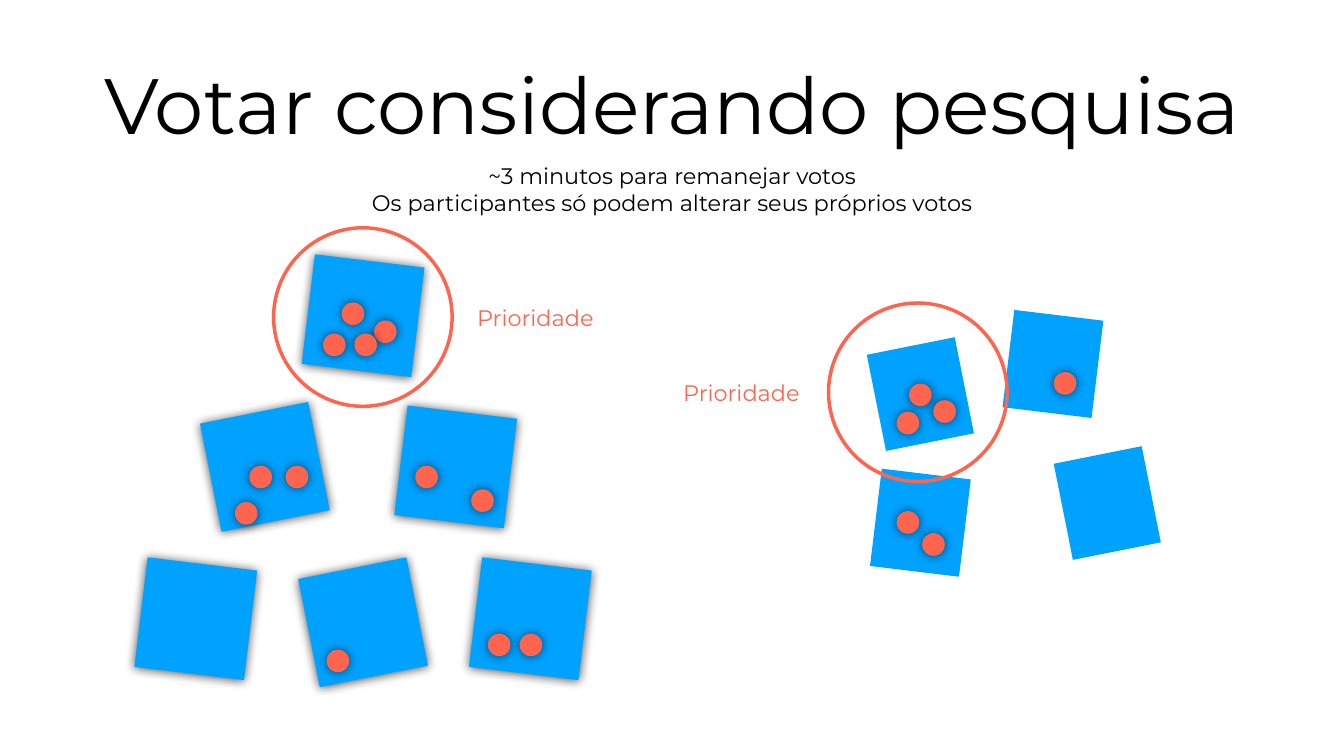
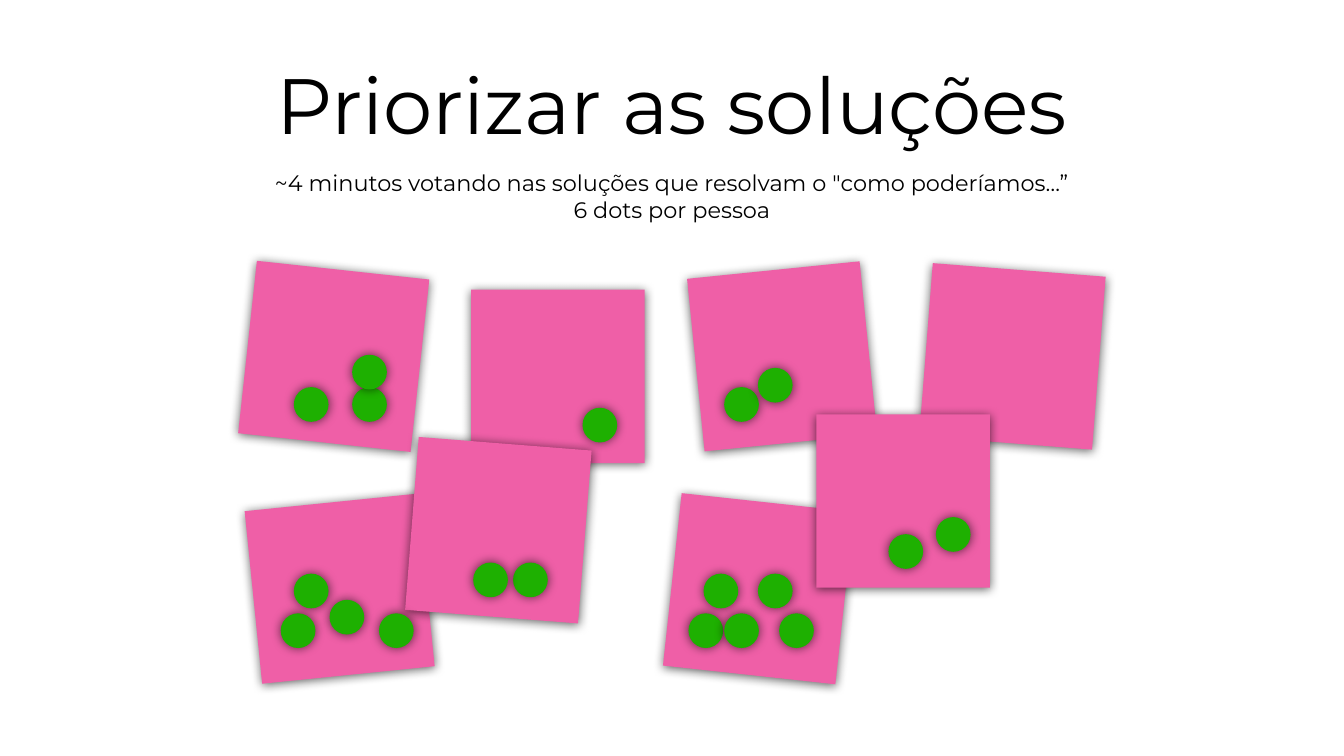
from lxml import etree
from pptx import Presentation
from pptx.dml.color import RGBColor
from pptx.enum import shapes, text
from pptx.oxml import ns
from pptx.util import Cm, Pt

HUES = {"ink": "000000", "blue": "00A2FF", "coral": "FF644E",
        "pink": "EF5FA7", "green": "1EB001"}
FONT = "Montserrat"
RECT, OVAL = shapes.MSO_SHAPE.RECTANGLE, shapes.MSO_SHAPE.OVAL
ALIGN = text.PP_ALIGN


def draw(group, kind, box, fill=None, turn=0, shade=None):
    """Add a shape; shade is (opacity in percent, distance in points)."""
    shape = group.shapes.add_shape(kind, *map(Cm, box))
    shape.rotation = turn
    shape.shadow.inherit = False
    if fill:
        shape.fill.solid()
        shape.fill.fore_color.rgb = RGBColor.from_string(HUES[fill])
        shape.line.fill.background()
    else:
        shape.fill.background()
        shape.line.color.rgb = RGBColor.from_string(HUES["coral"])
        shape.line.width = Pt(5)
    if shade:
        alpha, dist = shade
        effects = shape._element.spPr.find(ns.qn("a:effectLst"))
        outer = etree.SubElement(
            effects, ns.qn("a:outerShdw"), blurRad=str(Pt(15)),
            dist=str(Pt(dist)), dir="5400000", rotWithShape="0")
        color = etree.SubElement(outer, ns.qn("a:srgbClr"), val=HUES["ink"])
        etree.SubElement(color, ns.qn("a:alpha"), val=str(alpha * 1000))


def write(group, box, words, size=32, hue="ink", align=ALIGN.CENTER, grow=False):
    frame = group.shapes.add_textbox(*map(Cm, box)).text_frame
    frame.text = words
    frame.word_wrap = not grow
    frame.auto_size = (text.MSO_AUTO_SIZE.SHAPE_TO_FIT_TEXT if grow
                       else text.MSO_AUTO_SIZE.NONE)
    frame.vertical_anchor = text.MSO_ANCHOR.MIDDLE
    frame.margin_left = frame.margin_right = Cm(0.2)
    frame.margin_top = frame.margin_bottom = Cm(0.2)
    for par in frame.paragraphs:
        par.alignment = align
        for run in par.runs:
            run.font.name = FONT
            run.font.size = Pt(size)
            run.font.color.rgb = RGBColor.from_string(HUES[hue])


# Titles with their boxes, then subtitles with theirs
heads = [
    ("Votar considerando pesquisa", (1.4, 1, 64.95, 8.43),
     "~3 minutos para remanejar votos\n"
     "Os participantes só podem alterar seus próprios votos",
     (18.52, 7.95, 30.73, 3.15)),
    ("Priorizar as soluções", (5.72, 1, 56.29, 8.43),
     "~4 minutos votando nas soluções que resolvam o \"como poderíamos…”\n"
     "6 dots por pessoa",
     (13.51, 8.31, 40.72, 3.15)),
]

# Boards of notes (left, top, turn) and dots (left, top)
RIGHT, LEFT = 276.9, 258.7
boards = [
    {"page": 0, "note": "blue", "size": (5.56, 5.56), "shade": (68, 1),
     "dot": "coral", "wide": 1.14,
     "notes": [(15.52, 13.13, RIGHT), (20.19, 20.75, RIGHT),
               (10.57, 20.75, LEFT), (7.09, 28.4, RIGHT),
               (15.52, 28.58, LEFT), (23.95, 28.4, RIGHT)],
     "dots": [(16.28, 16.81), (17.22, 15.24), (18.85, 16.15), (17.86, 16.81),
              (14.4, 23.47), (11.84, 25.3), (12.57, 23.47),
              (20.93, 23.47), (23.75, 24.66), (16.46, 32.74),
              (24.59, 31.93), (26.19, 31.93)]},
    {"page": 0, "note": "blue", "size": (4.94, 4.52), "shade": None,
     "dot": "coral", "wide": 1.14,
     "notes": [(43.92, 17.6, LEFT), (53.34, 23.09, LEFT),
               (43.92, 24.08, RIGHT), (50.6, 16.08, RIGHT)],
     "dots": [(45.82, 19.33), (45.19, 20.75), (53.11, 18.75),
              (46.48, 26.87), (45.19, 25.76), (47.04, 20.17)]},
    {"page": 1, "note": "pink", "size": (8.74, 8.74), "shade": (60, 2),
     "dot": "green", "wide": 1.75,
     "notes": [(12.45, 13.59, 6.2), (23.75, 14.6, 0), (35.05, 13.59, 354.2),
               (46.66, 13.59, 4.5), (33.86, 25.3, 6.2), (41.15, 20.88, 0),
               (12.75, 25.3, 354.2), (20.75, 22.35, 4.5)],
     "dots": [(17.75, 19.51), (17.75, 17.88), (14.81, 19.51), (29.36, 20.55),
              (36.5, 19.51), (38.2, 18.54), (47.17, 26.06), (44.78, 26.92),
              (34.7, 30.91), (36.5, 30.91), (35.46, 28.91), (38.2, 28.91),
              (39.27, 30.91), (14.15, 30.91), (16.61, 30.23), (14.81, 28.91),
              (19.1, 30.91), (25.86, 28.35), (23.85, 28.35)]},
]

# Priority rings and labels: ring corner, label corner, alignment
marks = [((13.79, 11.48), (23.85, 14.86), ALIGN.LEFT),
         ((41.76, 15.27), (33.68, 18.64), ALIGN.RIGHT)]

deck = Presentation()
deck.slide_width, deck.slide_height = Cm(67.74), Cm(38.1)

# Headings
for title, top, sub, low in heads:
    slide = deck.slides.add_slide(deck.slide_layouts[6])
    write(slide, top, title, size=112)
    write(slide, low, sub, grow=True)

# Notes and votes
for board in boards:
    group = deck.slides[board["page"]].shapes.add_group_shape()
    for left, top, turn in board["notes"]:
        draw(group, RECT, (left, top, *board["size"]), board["note"],
             turn, board["shade"])
    for spot in board["dots"]:
        draw(group, OVAL, (*spot, board["wide"], board["wide"]),
             board["dot"], shade=(60, 0))

# Priorities
for ring, label, align in marks:
    group = deck.slides[0].shapes.add_group_shape()
    draw(group, OVAL, (*ring, 9, 9))
    write(group, (*label, 6.83, 2.24), "Prioridade", hue="coral", align=align)

deck.save("out.pptx")
